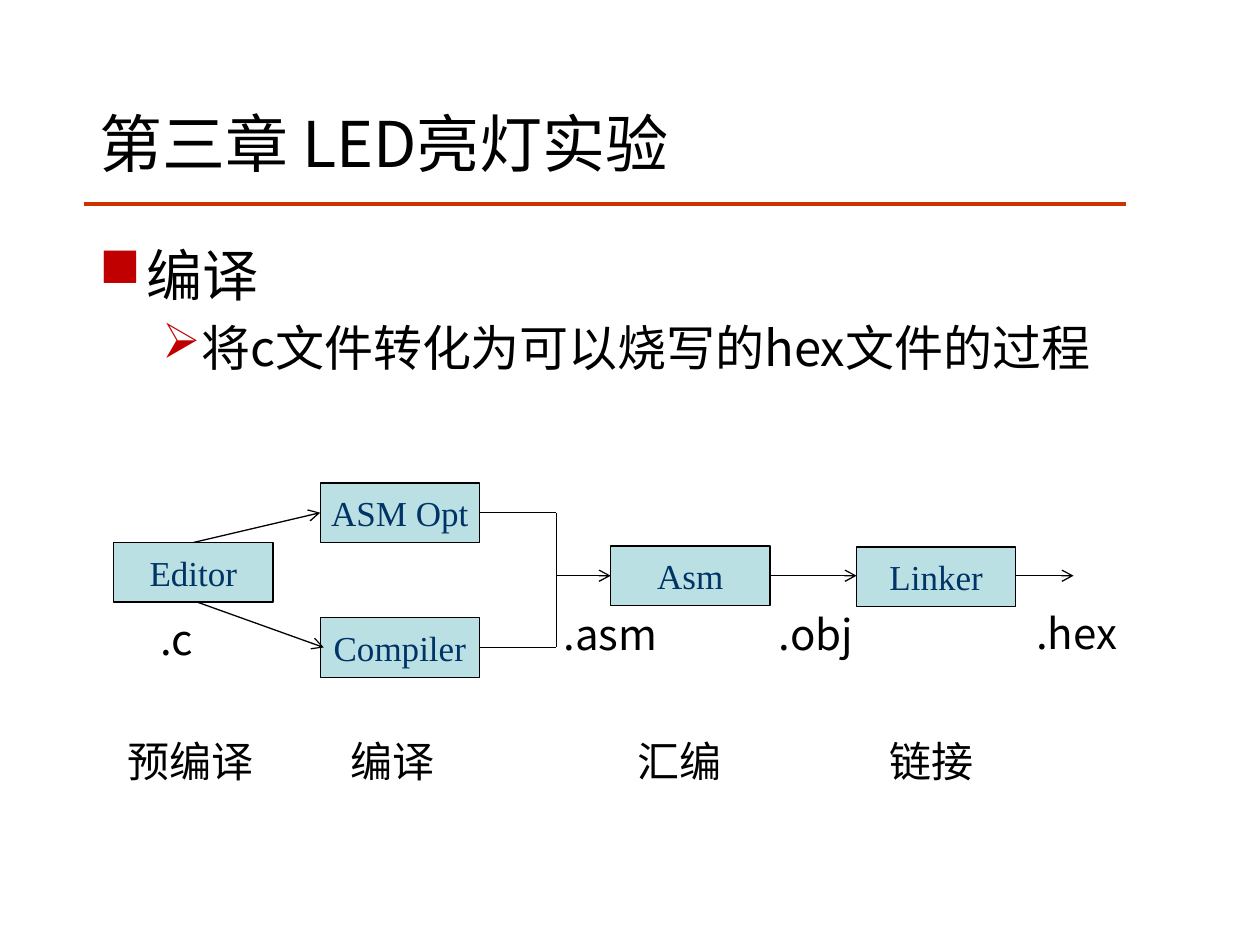
from lxml import etree
from pptx import Presentation
from pptx.dml.color import RGBColor
from pptx.enum import shapes, text
from pptx.oxml import ns
from pptx.util import Pt

SANS, SERIF = "Noto Sans CJK SC", "Times New Roman"
BLACK, RULE, BULLET = "000000", "CC3300", "C00000"
BOX_FILL, BOX_TEXT = "BBE0E3", "003366"


def color(hex_value):
    return RGBColor.from_string(hex_value)


def add_run(paragraph, words, size, font=SANS, ink=BLACK):
    run = paragraph.add_run()
    run.text = words
    run.font.size = Pt(size)
    run.font.name = font
    run.font.color.rgb = color(ink)
    east_asian = etree.SubElement(run.font._element, ns.qn("a:ea"))
    east_asian.set("typeface", font)


def add_line(slide, start, end, ink=BLACK, width=0.75, arrow=False):
    line = slide.shapes.add_connector(
        shapes.MSO_CONNECTOR.STRAIGHT, *(Pt(v) for v in (*start, *end)))
    line.line.color.rgb = color(ink)
    line.line.width = Pt(width)
    if arrow:
        head = etree.SubElement(line.line._get_or_add_ln(), ns.qn("a:tailEnd"))
        head.set("type", "arrow")
    etree.SubElement(line._element.spPr, ns.qn("a:effectLst"))


def add_label(slide, left, top, width, words):
    label = slide.shapes.add_textbox(Pt(left), Pt(top), Pt(width), Pt(36))
    label.text_frame.word_wrap = True
    add_run(label.text_frame.paragraphs[0], words, 24)


def add_bullet(paragraph, mark, left, hanging):
    props = paragraph._p.get_or_add_pPr()
    props.set("marL", str(Pt(left)))
    props.set("indent", str(Pt(-hanging)))
    bullet_color = etree.SubElement(props, ns.qn("a:buClr"))
    etree.SubElement(bullet_color, ns.qn("a:srgbClr")).set("val", BULLET)
    etree.SubElement(props, ns.qn("a:buChar")).set("char", mark)


def header(slide, left, top, width, height):
    title = slide.shapes.title
    title.left, title.top = Pt(left), Pt(top)
    title.width, title.height = Pt(width), Pt(height)
    frame = title.text_frame
    frame.auto_size = text.MSO_AUTO_SIZE.NONE
    frame.vertical_anchor = text.MSO_ANCHOR.TOP
    frame.paragraphs[0].alignment = text.PP_ALIGN.LEFT
    add_run(frame.paragraphs[0], "第三章 LED亮灯实验", 36)
    rule_y = top + 60.5
    add_line(slide, (left - 1.5, rule_y), (left + 594, rule_y), RULE, 2.25)


def explanation(slide, left, top, width, height):
    body = slide.shapes.add_textbox(Pt(left), Pt(top), Pt(width), Pt(height))
    frame = body.text_frame
    frame.word_wrap = True
    topic = frame.paragraphs[0]
    add_bullet(topic, "■", 27, 27)
    add_run(topic, "编译", 32)
    detail = frame.add_paragraph()
    detail.level = 1
    add_bullet(detail, "➢", 58.5, 22.5)
    detail.space_before = Pt(5.6)
    add_run(detail, "将c文件转化为可以烧写的hex文件的过程", 28)


def toolchain(slide, left, top):
    box_w, box_h = 91, 34

    def at(x, y):
        return left + x, top + y

    # Tools
    tools = [("Editor", 0, 34), ("ASM Opt", 118, 0), ("Compiler", 118, 77),
             ("Asm", 284, 36), ("Linker", 424.5, 36.5)]
    for name, x, y in tools:
        tool = slide.shapes.add_shape(
            shapes.MSO_SHAPE.RECTANGLE,
            *(Pt(v) for v in (*at(x, y), box_w, box_h)))
        tool.shadow.inherit = False
        tool.fill.solid()
        tool.fill.fore_color.rgb = color(BOX_FILL)
        tool.line.color.rgb = color(BLACK)
        tool.line.width = Pt(0.75)
        frame = tool.text_frame
        frame.word_wrap = False
        frame.vertical_anchor = text.MSO_ANCHOR.MIDDLE
        frame.paragraphs[0].alignment = text.PP_ALIGN.CENTER
        add_run(frame.paragraphs[0], name, 20, SERIF, BOX_TEXT)

    # Flow between tools
    upper, middle, lower, merge = 17, 53, 94, 253
    arrows = [((45.5, 34), (118, upper)), ((47.5, 68), (120, lower)),
              ((merge, middle), (284, middle)),
              ((375, middle), (424.5, middle)),
              ((515.5, middle), (548.5, middle))]
    joins = [((209, upper), (merge, upper)), ((209, lower), (merge, lower)),
             ((merge, upper), (merge, lower))]
    for links, arrow in ((arrows, True), (joins, False)):
        for start, end in links:
            add_line(slide, at(*start), at(*end), arrow=arrow)

    # File types
    for words, x, y, width in [(".c", 19.5, 71, 53), (".asm", 250, 68, 72),
                               (".obj", 373, 68, 72), (".hex", 520, 67.5, 72)]:
        add_label(slide, *at(x, y), width, words)


def stages(slide, left, top):
    for words, x, width in [("预编译", 0, 88), ("编译", 127, 71),
                            ("汇编", 291, 68), ("链接", 435, 68)]:
        add_label(slide, left + x, top, width, words)


def main():
    deck = Presentation()
    deck.slide_width, deck.slide_height = Pt(720), Pt(540)
    slide = deck.slides.add_slide(deck.slide_layouts[5])
    header(slide, 49.5, 56, 620.5, 67)
    explanation(slide, 49.5, 134, 588, 353)
    toolchain(slide, 65, 276)
    stages(slide, 66, 417)
    deck.save("out.pptx")


if __name__ == "__main__":
    main()
